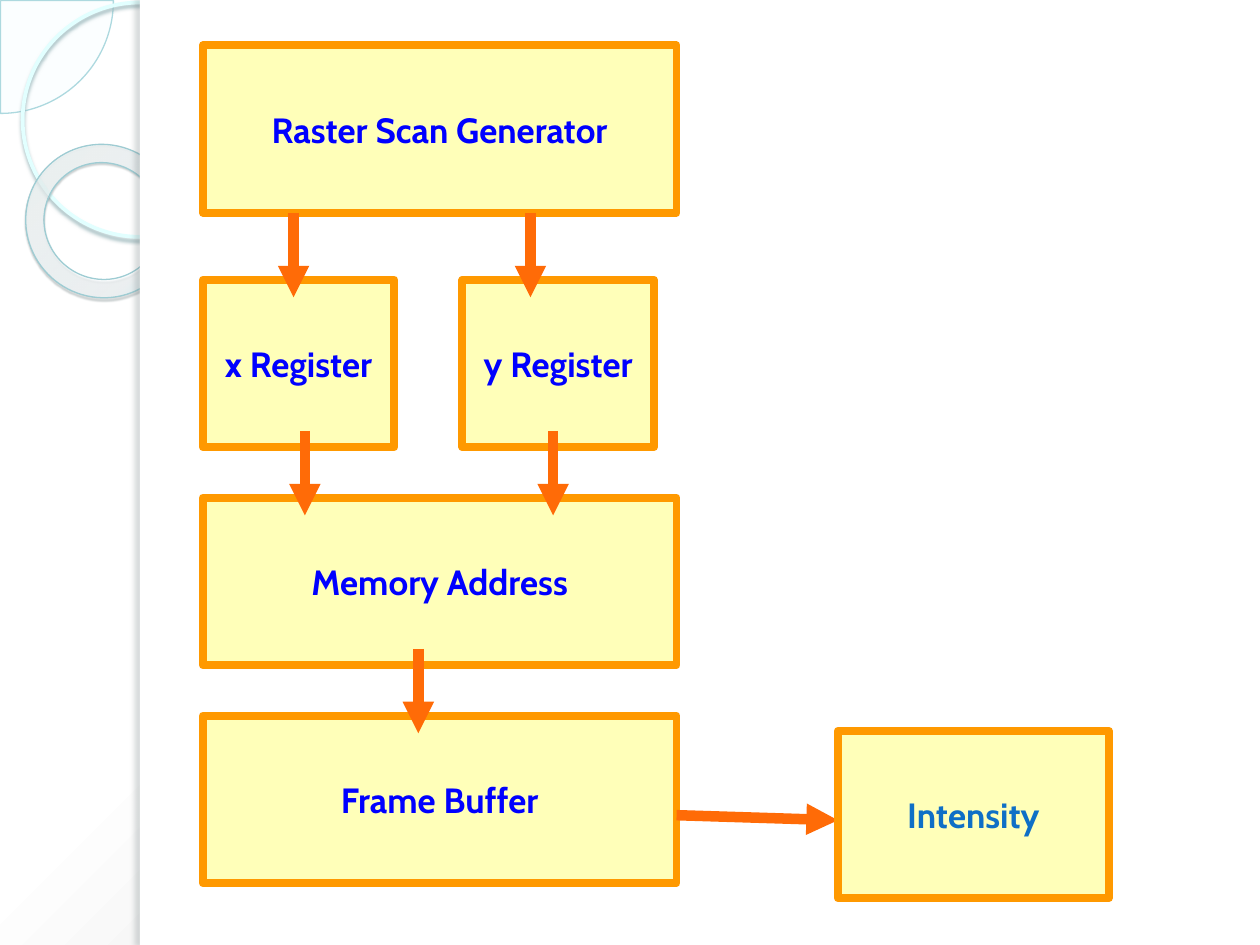
from dataclasses import dataclass

from lxml.etree import SubElement as Sub
from pptx import Presentation
from pptx.dml.color import RGBColor as RGB
from pptx.enum.shapes import MSO_CONNECTOR as Conn, MSO_SHAPE as Kind
from pptx.enum.text import MSO_ANCHOR as Anchor, PP_ALIGN as Align
from pptx.oxml.ns import qn
from pptx.util import Inches, Pt


@dataclass(frozen=True)
class Theme:
    font: str = "Cabin"
    size: float = 20
    text: str = "0000FF"
    out: str = "0F6FC6"
    box: str = "FFFFB9"
    edge: str = "FF9900"
    arrow: str = "FF6B07"
    panel: str = "FFFFFF"
    pie: str = "F5FEFF"
    pie_edge: str = "ADD9DF"
    ring: str = "E2FFFF"
    donut_edge: str = "9ECCD3"
    edge_w: float = 4.5
    arrow_w: float = 6
    # Stops: place, colour, opacity, all in percent
    back: tuple = ((0, "FFFFFF", 100), (40, "FFFFFF", 100), (100, "C2C2C2", 100))
    donut: tuple = ((0, "F7FEFE", 70), (70, "F9FEFF", 55), (100, "9CEEFD", 60))


THEME = Theme()
LEFT = 1.61
TALL = 1.33
WIDE, HALF = 3.76, 1.52
PITCH = 1.73
ROWS = [0.36] + [2.22 + PITCH * i for i in range(3)]
ABOVE, INTO = 0.53, 0.14  # arrow reach above and below a row's top
SIDE = 1.11


def add_color(node, color, alpha=100):
    rgb = Sub(node, qn("a:srgbClr"), val=color)
    if alpha < 100:
        Sub(rgb, qn("a:alpha"), val=str(alpha * 1000))


def set_glow(node, stops):
    """Swap the solid fill of node for a gradient round its top left corner."""
    old = node.find(qn("a:solidFill"))
    grad = old.makeelement(qn("a:gradFill"), {"rotWithShape": "1"})
    node.replace(old, grad)
    items = Sub(grad, qn("a:gsLst"))
    for place, color, alpha in stops:
        add_color(Sub(items, qn("a:gs"), pos=str(place * 1000)), color, alpha)
    round_ = Sub(grad, qn("a:path"), {"path": "circle"})
    Sub(round_, qn("a:fillToRect"), r="100000", b="100000")


def set_shade(shape, color, alpha, blur, dist, angle):
    effects = shape._element.spPr.find(qn("a:effectLst"))
    shade = Sub(effects, qn("a:outerShdw"), blurRad=str(Pt(blur)),
                dist=str(Pt(dist)), dir=str(angle * 60000),
                algn="tl", rotWithShape="0")
    add_color(shade, color, alpha)


def add_form(slide, kind, area, fill=None, edge=None, width=0.75):
    shape = slide.shapes.add_shape(kind, *map(Inches, area))
    shape.shadow.inherit = False
    if fill:
        shape.fill.solid()
        shape.fill.fore_color.rgb = RGB.from_string(fill)
    else:
        shape.fill.background()
    if edge:
        shape.line.color.rgb = RGB.from_string(edge)
        shape.line.width = Pt(width)
    else:
        shape.line.fill.background()
    return shape


def add_box(slide, text, left, top, width, color=THEME.text):
    shape = add_form(slide, Kind.RECTANGLE, (left, top, width, TALL),
                     THEME.box, THEME.edge, THEME.edge_w)
    frame = shape.text_frame
    frame.word_wrap = True
    frame.vertical_anchor = Anchor.MIDDLE
    para = frame.paragraphs[0]
    para.alignment = Align.CENTER
    run = para.add_run()
    run.text = text
    look = {"name": THEME.font, "size": Pt(THEME.size), "bold": True}
    for key, value in look.items():
        setattr(run.font, key, value)
    run.font.color.rgb = RGB.from_string(color)


def add_arrow(slide, *ends):
    link = slide.shapes.add_connector(Conn.STRAIGHT, *map(Inches, ends))
    link.line.color.rgb = RGB.from_string(THEME.arrow)
    link.line.width = Pt(THEME.arrow_w)
    props = link._element.spPr
    Sub(props.find(qn("a:ln")), qn("a:tailEnd"), type="triangle")
    Sub(props, qn("a:effectLst"))


def add_decor(slide):
    slide.background.fill.solid()
    set_glow(slide._element.cSld.find(qn("p:bg"))[0], THEME.back)

    pie = add_form(slide, Kind.PIE, (-0.89, -0.89, 1.79, 1.79),
                   THEME.pie, THEME.pie_edge)
    pie.adjustments[0], pie.adjustments[1] = 0, 54.02
    add_color_to = pie._element.spPr.find(qn("a:solidFill"))[0]
    Sub(add_color_to, qn("a:alpha"), val="33000")

    ring = add_form(slide, Kind.OVAL, (0.18, 0.02, 1.86, 1.86),
                    edge=THEME.ring, width=2.15)
    set_shade(ring, "99B6BA", 85, 2, 2, 90)

    donut = add_form(slide, Kind.DONUT, (0.2, 1.15, 1.23, 1.21),
                     THEME.panel, THEME.donut_edge)
    donut.adjustments[0] = 0.12
    donut.rotation = 38.6
    set_glow(donut._element.spPr, THEME.donut)
    set_shade(donut, "465A5C", 35, 1, 1.2, 75)

    add_form(slide, Kind.RECTANGLE, (SIDE, 0, 10 - SIDE, 7.5), THEME.panel)
    strip = add_form(slide, Kind.RECTANGLE, (SIDE, 0, 0.08, 7.5), THEME.panel)
    set_shade(strip, "687577", 25, 3, 3, 180)


def main():
    deck = Presentation()
    deck.slide_width, deck.slide_height = Inches(10), Inches(7.5)
    slide = deck.slides.add_slide(deck.slide_layouts[6])
    add_decor(slide)

    boxes = [
        ("Raster Scan Generator", LEFT, 0, WIDE),
        ("x Register", LEFT, 1, HALF),
        ("y Register", 3.67, 1, HALF),
        ("Memory Address", LEFT, 2, WIDE),
        ("Frame Buffer", LEFT, 3, WIDE),
    ]
    for text, left, row, width in boxes:
        add_box(slide, text, left, ROWS[row], width)

    for x, row in [(2.33, 1), (4.21, 1), (2.42, 2), (4.39, 2), (3.32, 3)]:
        add_arrow(slide, x, ROWS[row] - ABOVE, x, ROWS[row] + INTO)
    add_arrow(slide, LEFT + WIDE, 6.47, 6.65, 6.51)
    add_box(slide, "Intensity", 6.65, 5.8, 2.15, THEME.out)

    deck.save("out.pptx")


if __name__ == "__main__":
    main()
